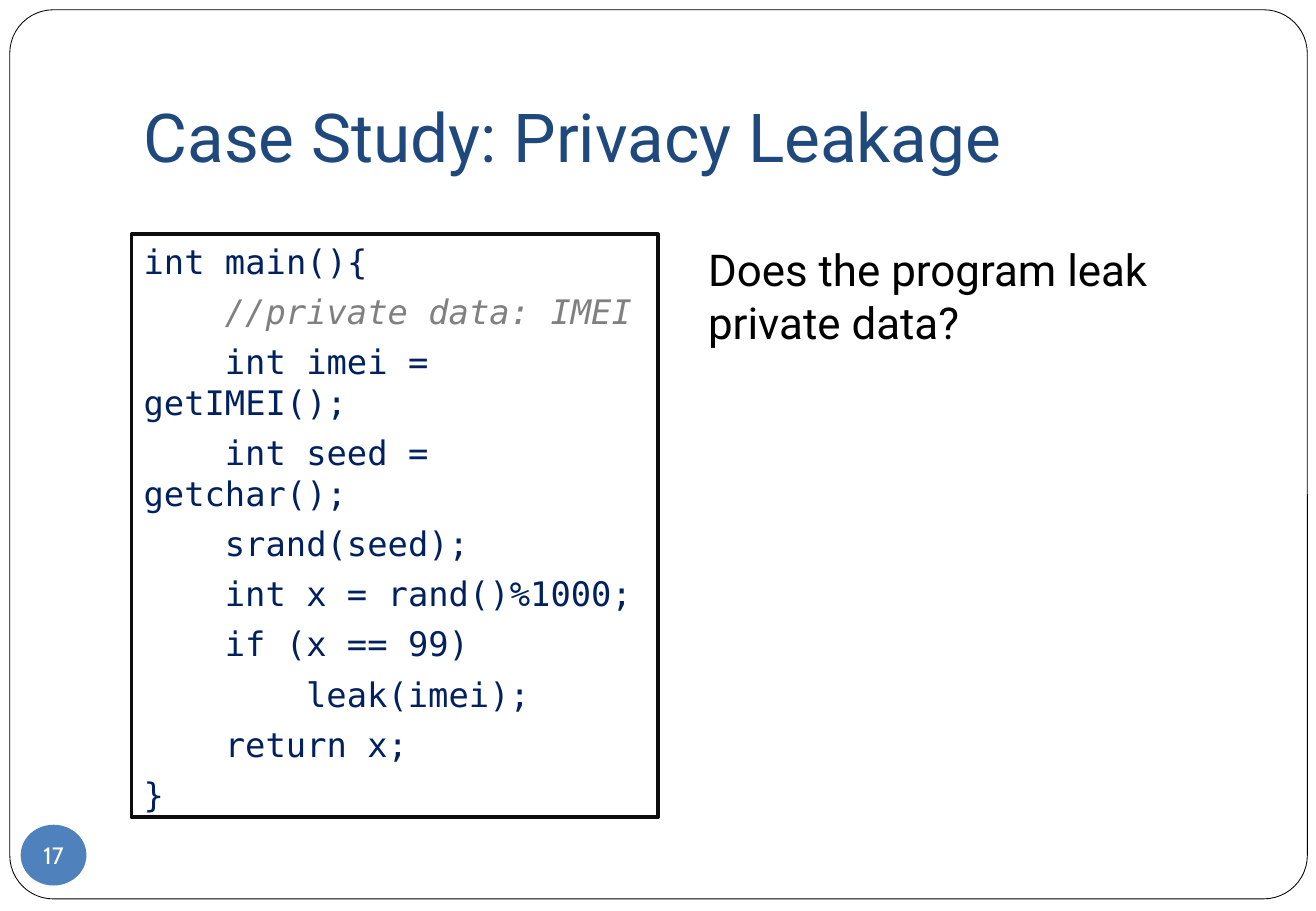
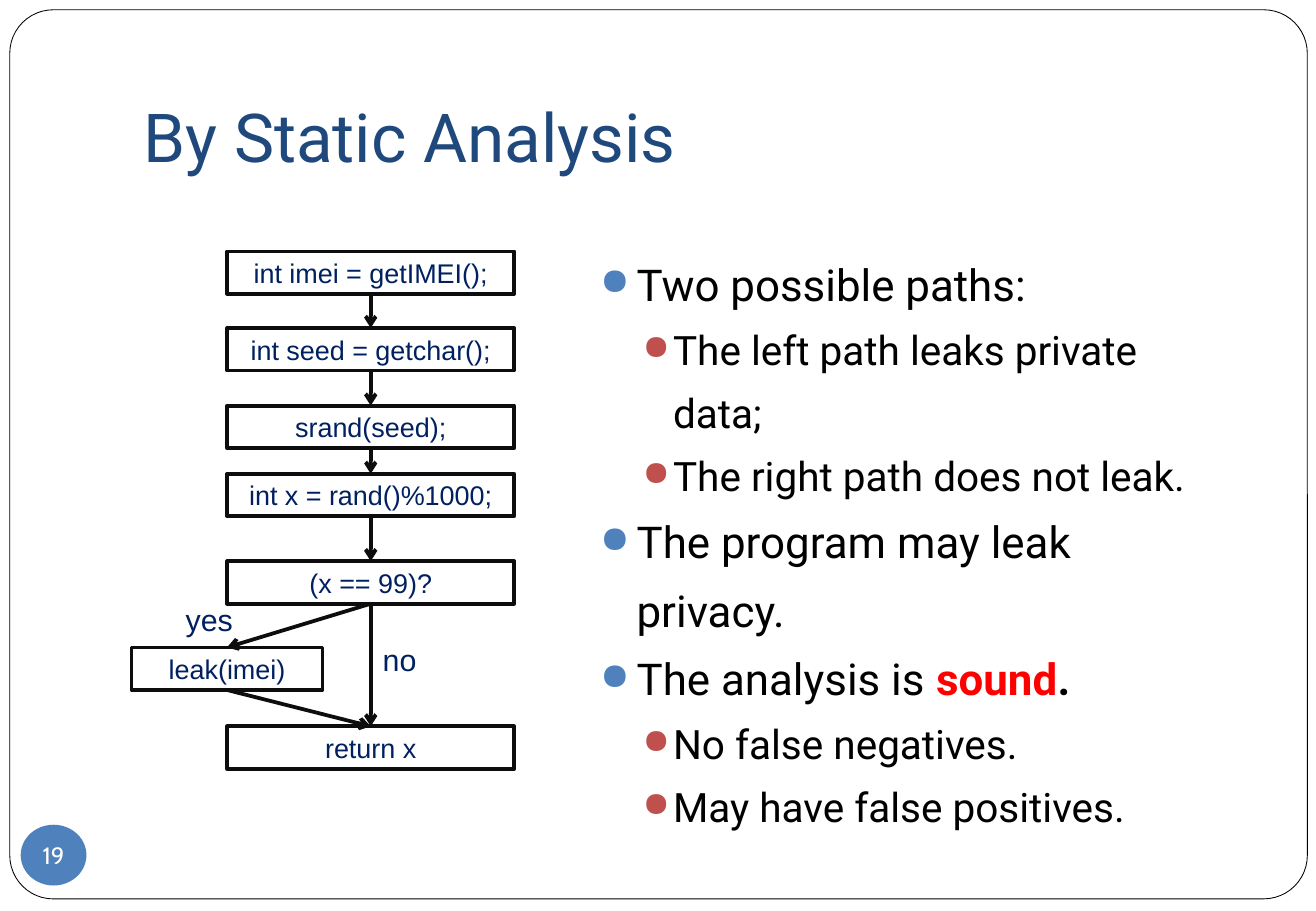
import pptx
import pptx.util
import pptx.dml.color
import pptx.enum.shapes
import pptx.enum.text
import pptx.oxml.ns
import lxml.etree

COLORS = {
    "paper": "FFFFFF", "frame": "000000", "title": "1F497D", "text": "000000",
    "code": "002060", "comment": "808080", "outline": "0D0D0D",
    "badge": "4F81BD", "bullet": "4F81BD", "subbullet": "C0504D",
    "alert": "FF0000",
}
TITLE_FONT, CODE_FONT, CHART_FONT, BADGE_FONT = (
    "Roboto", "DejaVu Sans Mono", "Arial", "Cabin")
SHAPES = pptx.enum.shapes.MSO_SHAPE
ANCHOR = pptx.enum.text.MSO_ANCHOR
ALIGN = pptx.enum.text.PP_ALIGN


def color(name):
    return pptx.dml.color.RGBColor.from_string(COLORS[name])


def add_xml(parent, tag, **attributes):
    return lxml.etree.SubElement(parent, pptx.oxml.ns.qn(tag), attributes)


class Slides:
    """Style and current slide; areas are percent of the slide's size."""

    def __init__(self):
        self.deck = pptx.Presentation()
        self.deck.slide_width = pptx.util.Inches(10.83)
        self.deck.slide_height = pptx.util.Inches(7.5)
        self.page = None

    def place(self, area):
        left, top, width, height = area
        across, down = self.deck.slide_width, self.deck.slide_height
        return [int(share * size / 100) for share, size in
                ((left, across), (top, down), (width, across), (height, down))]

    def new_page(self, title, number):
        self.page = self.deck.slides.add_slide(self.deck.slide_layouts[6])
        frame = self.shape((0.74, 1.07, 98.6, 97.6), SHAPES.ROUNDED_RECTANGLE,
                           line="frame", weight=0.5)
        frame.adjustments[0] = 0.049
        box = self.text_box((10, 4, 85, 16.67), ANCHOR.BOTTOM)
        box.text_frame.margin_bottom = pptx.util.Inches(0.1)
        self.set_text(box.text_frame.paragraphs[0], title, TITLE_FONT, 40, "title")
        badge = self.shape((1.57, 90.53, 5, 6.67), SHAPES.OVAL, "badge", None)
        self.center(badge, str(number), BADGE_FONT, 14, "paper")
        text = badge.text_frame
        text.word_wrap = False
        text.margin_left = text.margin_right = 0
        text.margin_top = text.margin_bottom = 0

    def shape(self, area, kind=SHAPES.RECTANGLE, fill="paper", line="outline",
              weight=2.25):
        shape = self.page.shapes.add_shape(kind, *self.place(area))
        shape.shadow.inherit = False
        shape.fill.solid()
        shape.fill.fore_color.rgb = color(fill)
        if line:
            shape.line.color.rgb = color(line)
            shape.line.width = pptx.util.Pt(weight)
        else:
            shape.line.fill.background()
        return shape

    def text_box(self, area, anchor=ANCHOR.TOP, wrap=True):
        box = self.page.shapes.add_textbox(*self.place(area))
        box.text_frame.word_wrap = wrap
        box.text_frame.vertical_anchor = anchor
        return box

    def set_text(self, para, text, font, size, shade):
        para.text = text
        for span in para.runs:
            span.font.name = font
            span.font.size = pptx.util.Pt(size)
            span.font.color.rgb = color(shade)

    def center(self, shape, text, font, size, shade):
        shape.text_frame.vertical_anchor = ANCHOR.MIDDLE
        para = shape.text_frame.paragraphs[0]
        para.alignment = ALIGN.CENTER
        self.set_text(para, text, font, size, shade)

    def paragraphs(self, frame, count):
        return [frame.paragraphs[0]] + [frame.add_paragraph()
                                        for _ in range(count - 1)]

    def question(self, area, text):
        para = self.text_box(area).text_frame.paragraphs[0]
        para.space_before = pptx.util.Pt(5.8)
        self.set_text(para, text, TITLE_FONT, 26, "text")

    def code(self, area, lines):
        """Lines are (depth, text); only the first row of each is indented."""
        frame = self.shape(area).text_frame
        frame.word_wrap = True
        frame.vertical_anchor = ANCHOR.TOP
        for para, (depth, text) in zip(self.paragraphs(frame, len(lines)), lines):
            para.alignment = ALIGN.LEFT
            para.space_before = pptx.util.Pt(5.8)
            indent = pptx.util.Pt(48.16 * depth)
            para._p.get_or_add_pPr().set("indent", str(indent))
            remark = text.startswith("//")
            self.set_text(para, text, CODE_FONT, 20,
                          "comment" if remark else "code")
            para.runs[0].font.italic = remark

    def bullets(self, area, items):
        """Items are (level, text, alert word, ending)."""
        frame = self.text_box(area).text_frame
        for para, (level, text, *strong) in zip(
                self.paragraphs(frame, len(items)), items):
            margin, hang, size, dot = ((0.3, 0.3, 26, "bullet"),
                                       (0.6, 0.25, 24, "subbullet"))[level]
            para.level = level
            para.line_spacing = 1.3
            self.set_text(para, text, TITLE_FONT, size, "text")
            for part, shade in zip(strong, ("alert", "text")):
                span = para.add_run()
                span.text = part
                span.font.name = TITLE_FONT
                span.font.size = pptx.util.Pt(size)
                span.font.bold = True
                span.font.color.rgb = color(shade)
            props = para._p.get_or_add_pPr()
            props.set("marL", str(pptx.util.Inches(margin)))
            props.set("indent", str(pptx.util.Inches(-hang)))
            add_xml(add_xml(props, "a:buClr"), "a:srgbClr", val=COLORS[dot])
            add_xml(props, "a:buSzPct", val="85000")
            add_xml(props, "a:buChar", char="●")

    def step(self, middle, top, width, text):
        box = self.shape((middle - width / 2, top, width, 4.67))
        self.center(box, text, CHART_FONT, 16, "code")
        return box

    def arrow(self, upper, lower):
        """Joins the bottom of one box to the top of another."""
        arrow = self.page.shapes.add_connector(
            pptx.enum.shapes.MSO_CONNECTOR.STRAIGHT, 0, 0, 0, 0)
        arrow.begin_connect(upper, 2)
        arrow.end_connect(lower, 0)
        arrow.line.color.rgb = color("outline")
        arrow.line.width = pptx.util.Pt(2.25)
        add_xml(arrow.line._get_or_add_ln(), "a:tailEnd", type="arrow")
        add_xml(arrow._element.spPr, "a:effectLst")

    def label(self, area, text):
        box = self.text_box(area, wrap=False)
        self.set_text(box.text_frame.paragraphs[0], text, CHART_FONT, 18, "code")


def case_study(slides):
    slides.new_page("Case Study: Privacy Leakage", 17)
    slides.question((52.9, 26, 37.1, 24), "Does the program leak private data?")
    slides.code((10, 25.73, 40, 64), [
        (0, "int main(){"),
        (1, "//private data: IMEI"),
        (1, "int imei = getIMEI();"),
        (1, "int seed = getchar();"),
        (1, "srand(seed);"),
        (1, "int x = rand()%1000;"),
        (1, "if (x == 99)"),
        (2, "leak(imei);"),
        (1, "return x;"),
        (0, "}"),
    ])


def static_analysis(slides):
    slides.new_page("By Static Analysis", 19)
    slides.bullets((44.7, 25.87, 49.2, 58.53), [
        (0, "Two possible paths:"),
        (1, "The left path leaks private data;"),
        (1, "The right path does not leak."),
        (0, "The program may leak privacy."),
        (0, "The analysis is ", "sound", "."),
        (1, "No false negatives."),
        (1, "May have false positives."),
    ])
    # Flow chart: main column, then the leaking branch
    column = [slides.step(28.17, top, 21.8, text) for top, text in (
        (27.6, "int imei = getIMEI();"),
        (36, "int seed = getchar();"),
        (44.53, "srand(seed);"),
        (52, "int x = rand()%1000;"),
        (61.6, "(x == 99)?"),
        (79.73, "return x"),
    )]
    leak = slides.step(17.25, 71.07, 14.5, "leak(imei)")
    for upper, lower in zip(column, column[1:]):
        slides.arrow(upper, lower)
    slides.arrow(column[-2], leak)
    slides.arrow(leak, column[-1])
    slides.label((13.2, 65.33, 5.45, 5.33), "yes")
    slides.label((28.17, 69.73, 4.43, 5.33), "no")


def main():
    slides = Slides()
    case_study(slides)
    static_analysis(slides)
    slides.deck.save("out.pptx")


if __name__ == "__main__":
    main()
